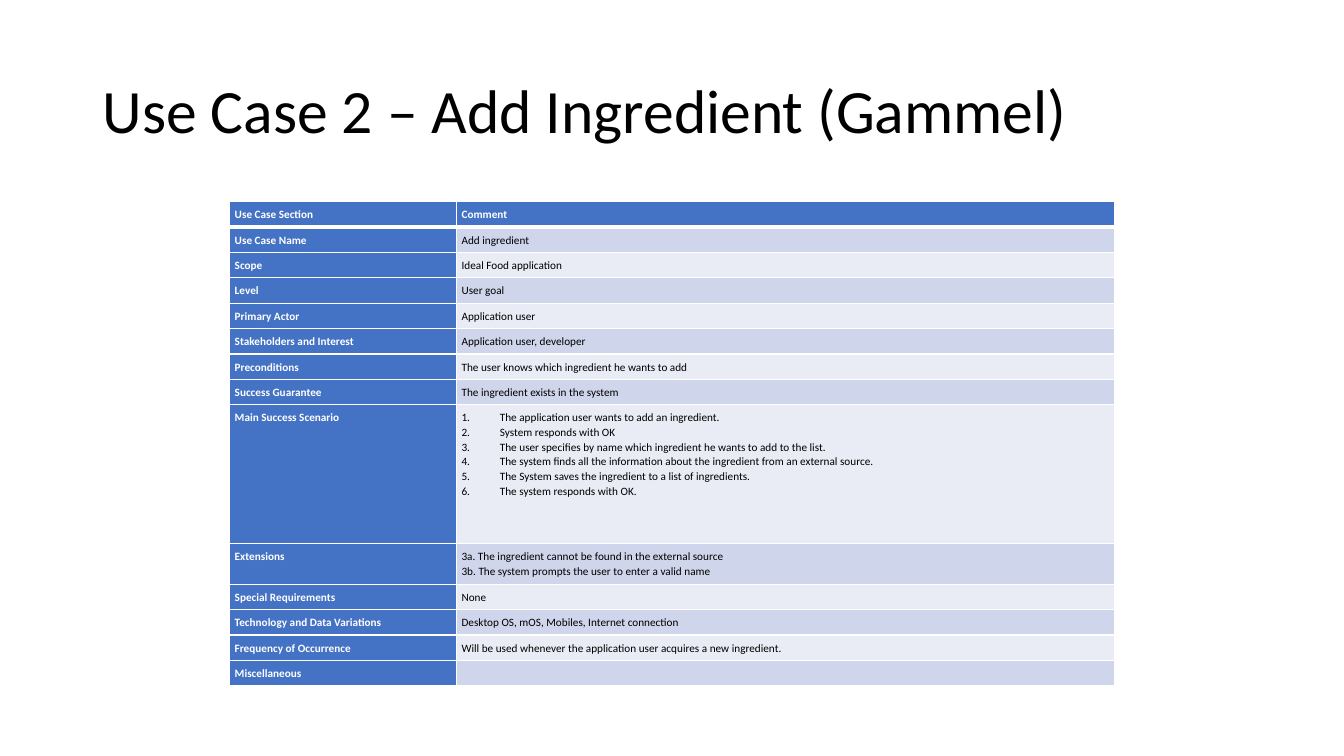
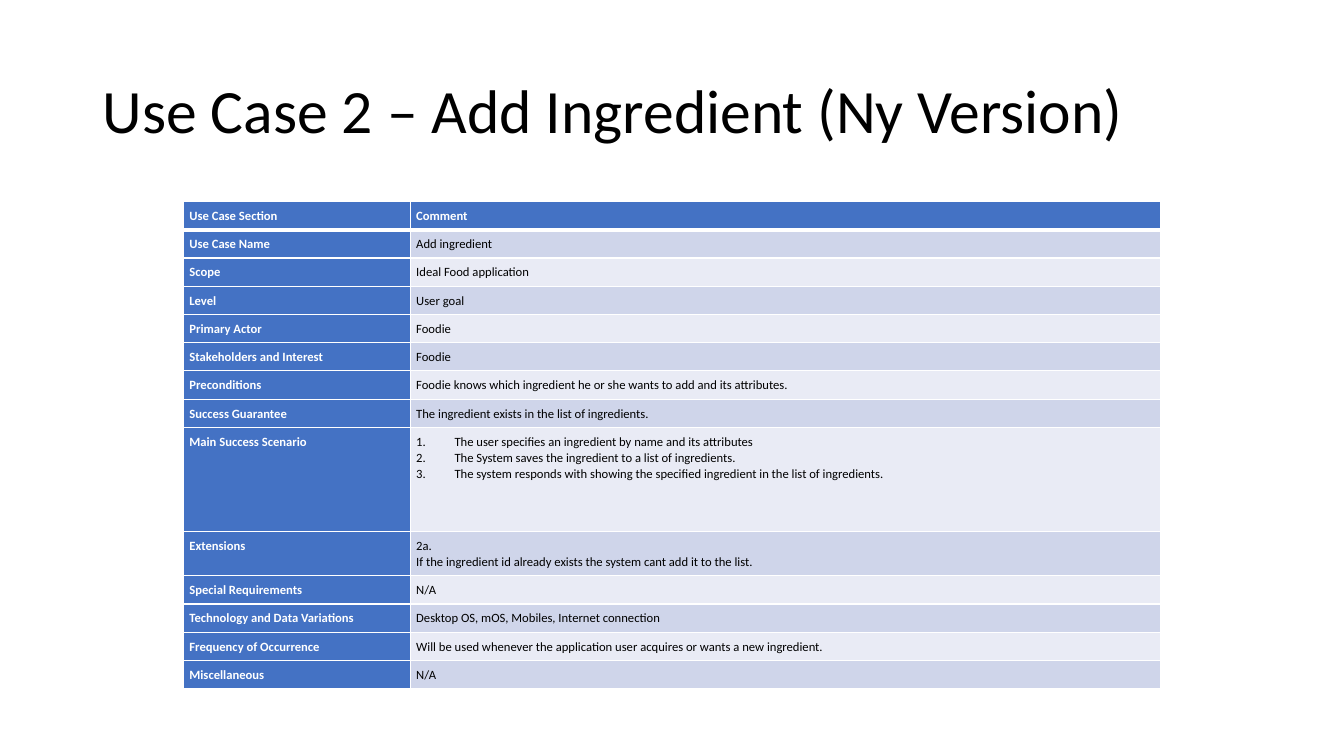
from lxml import etree
from pptx import Presentation
from pptx import util as u
from pptx.dml.color import RGBColor
from pptx.enum import text
from pptx.oxml import ns

# Shared style
BLUE = RGBColor(0x44, 0x72, 0xC4)
BAND_DARK = RGBColor(0xCF, 0xD5, 0xEA)
BAND_LIGHT = RGBColor(0xE9, 0xEB, 0xF5)
WHITE = RGBColor(0xFF, 0xFF, 0xFF)
BLACK = RGBColor(0, 0, 0)
FONT = "Calibri"
TABLE_TOP = u.Inches(2)
SECTION_WIDTH = u.Inches(2.25)
NUMBER_INDENT = u.Inches(0.38)

SECTIONS = [
    "Use Case Section", "Use Case Name", "Scope", "Level", "Primary Actor",
    "Stakeholders and Interest", "Preconditions", "Success Guarantee",
    "Main Success Scenario", "Extensions", "Special Requirements",
    "Technology and Data Variations", "Frequency of Occurrence", "Miscellaneous",
]
SCENARIO = SECTIONS.index("Main Success Scenario")
EXTENSIONS = SECTIONS.index("Extensions")
PLATFORMS = "Desktop OS, mOS, Mobiles, Internet connection"

# Content: one use case per slide, one comment per section
use_cases = [
    dict(
        title="Use Case 2 – Add Ingredient (Gammel)",
        comment_width=6.53, size=8, margin=3.8,
        row=0.25, scenario_row=1.38, extensions_row=0.4,
        comments=[
            "Comment", "Add ingredient", "Ideal Food application", "User goal",
            "Application user", "Application user, developer",
            "The user knows which ingredient he wants to add",
            "The ingredient exists in the system",
            "The application user wants to add an ingredient.\n"
            "System responds with OK\n"
            "The user specifies by name which ingredient he wants to add to the list.\n"
            "The system finds all the information about the ingredient from an external source.\n"
            "The System saves the ingredient to a list of ingredients.\n"
            "The system responds with OK.",
            "3a. The ingredient cannot be found in the external source\n"
            "3b. The system prompts the user to enter a valid name",
            "None", PLATFORMS,
            "Will be used whenever the application user acquires a new ingredient.",
            "",
        ],
    ),
    dict(
        title="Use Case 2 – Add Ingredient (Ny Version)",
        comment_width=7.44, size=9, margin=4.2,
        row=0.28, scenario_row=1.03, extensions_row=0.44,
        comments=[
            "Comment", "Add ingredient", "Ideal Food application", "User goal",
            "Foodie", "Foodie",
            "Foodie knows which ingredient he or she wants to add and its attributes.",
            "The ingredient exists in the list of ingredients.",
            "The user specifies an ingredient by name and its attributes\n"
            "The System saves the ingredient to a list of ingredients.\n"
            "The system responds with showing the specified ingredient in the list of ingredients.",
            "2a.\nIf the ingredient id already exists the system cant add it to the list.",
            "N/A", PLATFORMS,
            "Will be used whenever the application user acquires or wants a new ingredient.",
            "N/A",
        ],
    ),
]


def draw_borders(cell, row):
    """White 1 pt grid, with a 3 pt line under the header row."""
    widths = dict(lnL=1, lnR=1, lnT=3 if row == 1 else 1, lnB=3 if row == 0 else 1)
    for side, width in widths.items():
        line = etree.SubElement(cell._tc.get_or_add_tcPr(), ns.qn(f"a:{side}"),
                                w=str(u.Pt(width)))
        fill = etree.SubElement(line, ns.qn("a:solidFill"))
        etree.SubElement(fill, ns.qn("a:srgbClr"), val=str(WHITE))


def fill_cell(cell, words, size, margin, colour, heading, numbered):
    cell.fill.solid()
    cell.fill.fore_color.rgb = colour
    cell.margin_left = cell.margin_right = u.Pt(margin)
    cell.margin_top = cell.margin_bottom = u.Pt(margin)
    cell.text_frame.text = words
    for paragraph in cell.text_frame.paragraphs:
        paragraph.line_spacing = 1.07
        for run in paragraph.runs:
            run.font.name = FONT
            run.font.size = u.Pt(size)
            run.font.bold = heading
            run.font.color.rgb = WHITE if heading else BLACK
        # Keeps the line height of an empty cell
        etree.SubElement(paragraph._p, ns.qn("a:endParaRPr"), sz=str(size * 100))
        if numbered:
            properties = paragraph._p.get_or_add_pPr()
            properties.set("marL", str(NUMBER_INDENT))
            properties.set("indent", str(-NUMBER_INDENT))
            etree.SubElement(properties, ns.qn("a:buAutoNum"), type="arabicPeriod")


deck = Presentation()
deck.slide_width, deck.slide_height = u.Inches(13.33), u.Inches(7.5)
title_only = deck.slide_layouts[5]

# Title style, set once on the layout
layout_title = title_only.placeholders[0]
layout_title.left, layout_title.top = u.Inches(0.92), u.Inches(0.4)
layout_title.width, layout_title.height = u.Inches(11.5), u.Inches(1.45)

for use_case in use_cases:
    slide = deck.slides.add_slide(title_only)

    # Title
    heading = slide.shapes.title.text_frame
    heading.text = use_case["title"]
    heading.vertical_anchor = text.MSO_ANCHOR.MIDDLE
    line = heading.paragraphs[0]
    line.alignment = text.PP_ALIGN.LEFT
    line.line_spacing = 0.9
    line.runs[0].font.name = FONT
    line.runs[0].font.size = u.Pt(44)
    line.runs[0].font.color.rgb = BLACK

    # Table, centred on the slide
    heights = [u.Inches(use_case["row"])] * len(SECTIONS)
    heights[SCENARIO] = u.Inches(use_case["scenario_row"])
    heights[EXTENSIONS] = u.Inches(use_case["extensions_row"])
    comment_width = u.Inches(use_case["comment_width"])
    table_width = SECTION_WIDTH + comment_width
    table = slide.shapes.add_table(
        len(SECTIONS), 2, (deck.slide_width - table_width) // 2, TABLE_TOP,
        table_width, sum(heights)).table
    table.columns[0].width, table.columns[1].width = SECTION_WIDTH, comment_width

    # Section names on blue, comments on alternating bands
    for row, entry in enumerate(zip(SECTIONS, use_case["comments"])):
        table.rows[row].height = heights[row]
        for column, words in enumerate(entry):
            is_heading = row == 0 or column == 0
            band = BAND_DARK if row % 2 else BAND_LIGHT
            cell = table.cell(row, column)
            draw_borders(cell, row)
            fill_cell(cell, words, use_case["size"], use_case["margin"],
                      BLUE if is_heading else band, is_heading,
                      row == SCENARIO and column == 1)

deck.save("out.pptx")
